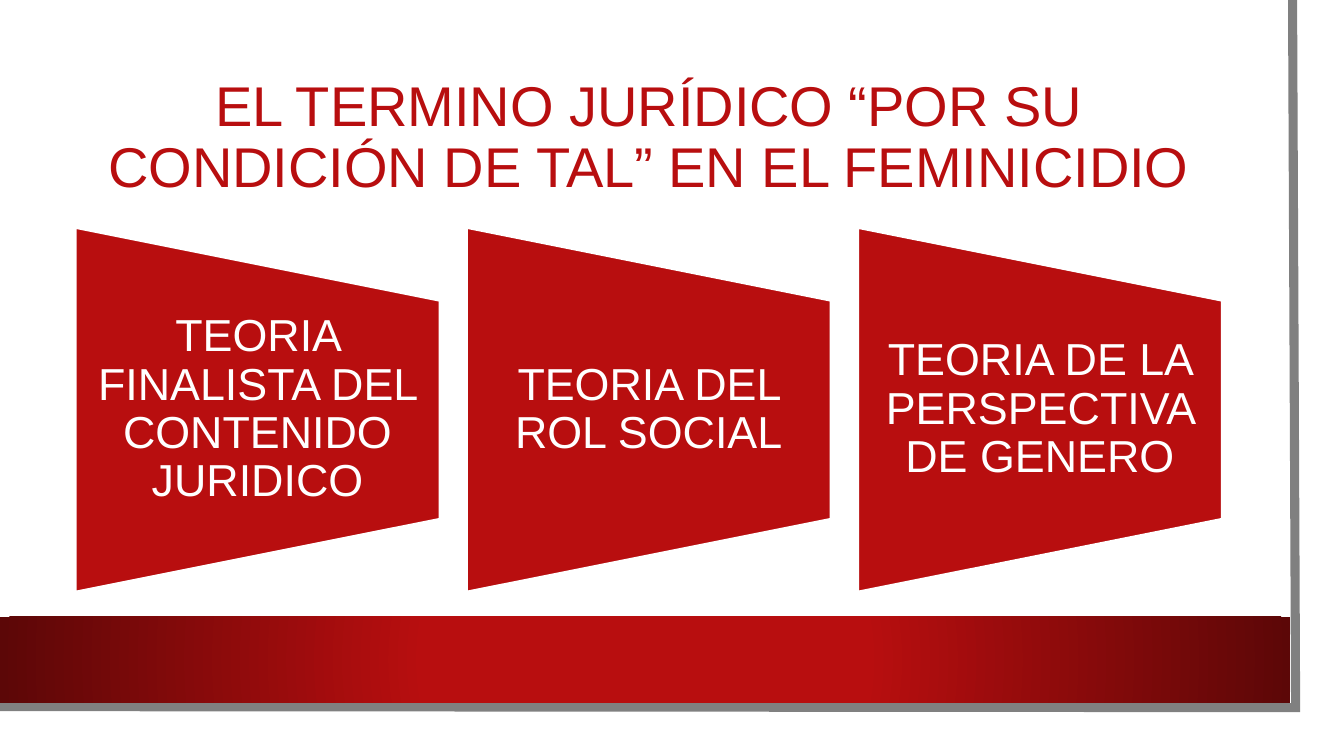
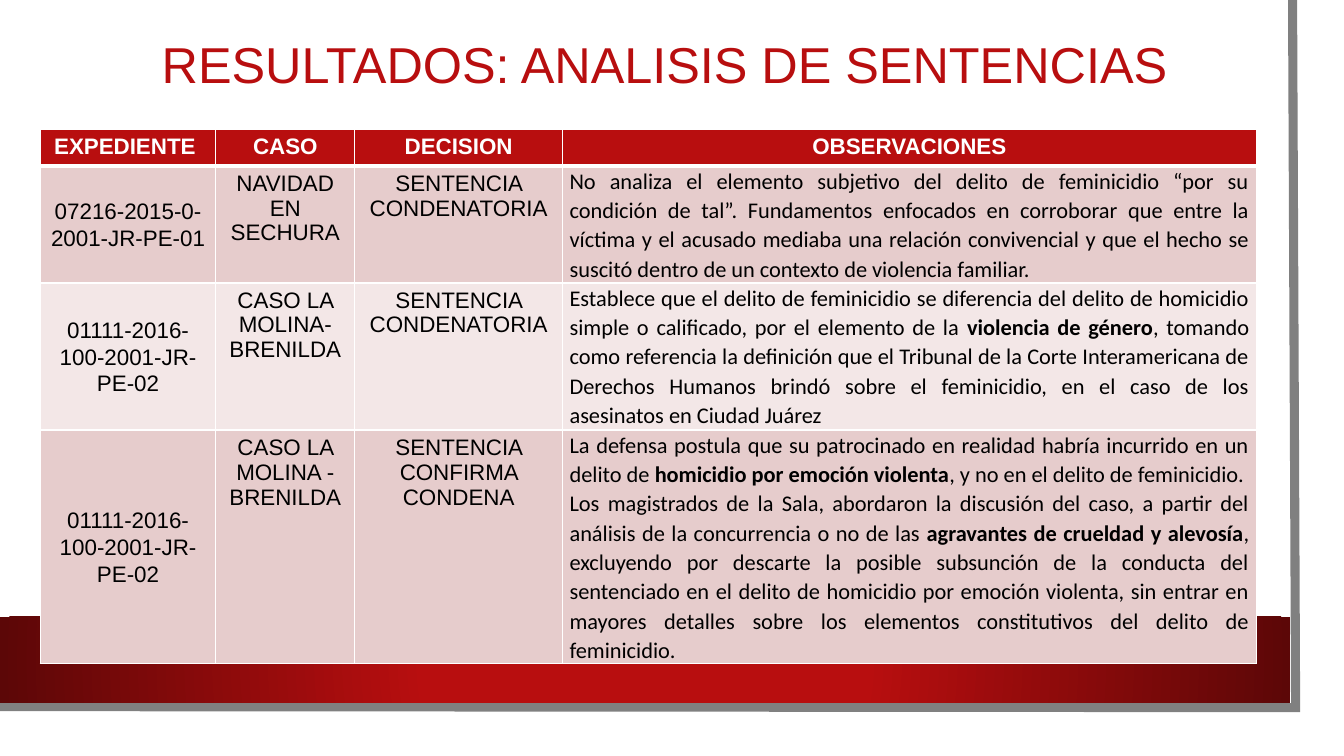
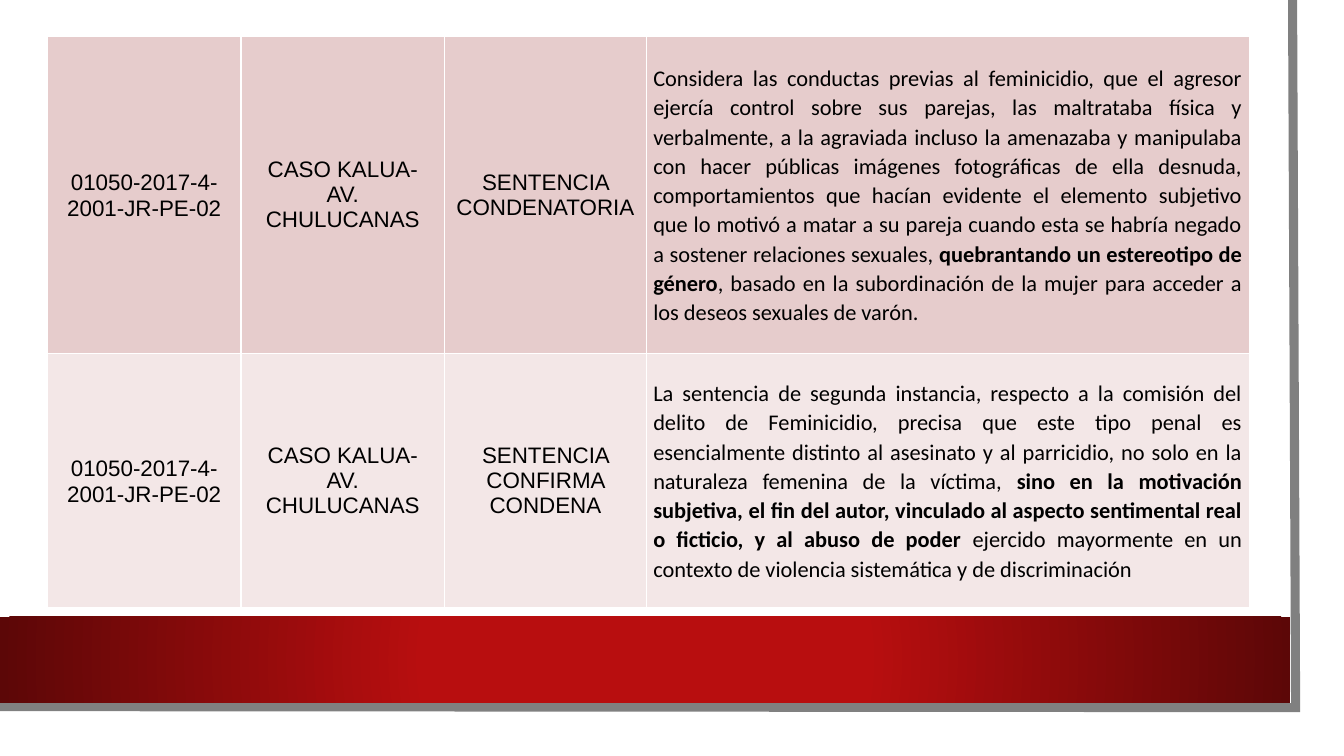
from dataclasses import dataclass

from lxml import etree
from pptx import Presentation
from pptx import util as u
from pptx.dml.color import RGBColor
from pptx.enum import shapes, text
from pptx.oxml import ns

PX = 9144


@dataclass(frozen=True)
class Theme:
    """Colours, fonts and type sizes of the presentation."""
    red: str = "B80E0F"
    dark_red: str = "5C0707"
    rose: str = "E6CCCC"
    pale_rose: str = "F3E7E7"
    grey: str = "808080"
    white: str = "FFFFFF"
    black: str = "000000"
    heading_font: str = "Arial"
    prose_font: str = "Calibri"
    title_size: int = 40
    results_title_size: int = 36
    theory_size: int = 32
    cell_size: int = 16


THEME = Theme()

THEORIES = [
    "TEORIA FINALISTA DEL CONTENIDO JURIDICO",
    "TEORIA DEL ROL SOCIAL",
    "TEORIA DE LA PERSPECTIVA DE GENERO",
]

HEADINGS = ["EXPEDIENTE ", "CASO", "DECISION", "OBSERVACIONES"]

FIRST_RULINGS = [
    ["07216-2015-0-2001-JR-PE-01", "NAVIDAD EN SECHURA", "SENTENCIA CONDENATORIA",
     "No analiza el elemento subjetivo del delito de feminicidio “por su condición de tal”. "
     "Fundamentos enfocados en corroborar que entre la víctima y el acusado mediaba una "
     "relación convivencial y que el hecho se suscitó dentro de un contexto de violencia "
     "familiar. "],
    ["01111-2016-100-2001-JR-PE-02", "CASO LA MOLINA- BRENILDA", "SENTENCIA CONDENATORIA",
     "Establece que el delito de feminicidio se diferencia del delito de homicidio simple o "
     "calificado, por el elemento de la |violencia de género|, tomando como referencia la "
     "definición que el Tribunal de la Corte Interamericana de Derechos Humanos brindó sobre "
     "el feminicidio, en el caso de los asesinatos en Ciudad Juárez"],
    ["01111-2016-100-2001-JR-PE-02", "CASO LA MOLINA - BRENILDA",
     "SENTENCIA CONFIRMA CONDENA",
     "La defensa postula que su patrocinado en realidad habría incurrido en un delito de "
     "|homicidio por emoción violenta|, y no en el delito de feminicidio.  Los magistrados "
     "de la Sala, abordaron la discusión del caso, a partir del análisis de la concurrencia "
     "o no de las |agravantes de crueldad y alevosía|, excluyendo por descarte la posible "
     "subsunción de la conducta del sentenciado en el delito de homicidio por emoción "
     "violenta, sin entrar en mayores detalles sobre los elementos constitutivos del delito "
     "de feminicidio."],
]

LAST_RULINGS = [
    ["01050-2017-4-2001-JR-PE-02", "CASO KALUA- AV. CHULUCANAS", "SENTENCIA CONDENATORIA",
     "Considera las conductas previas al feminicidio, que el agresor ejercía control sobre "
     "sus parejas, las maltrataba física y verbalmente, a la agraviada incluso la amenazaba "
     "y manipulaba con hacer públicas imágenes fotográficas de ella desnuda, comportamientos "
     "que hacían evidente el elemento subjetivo que lo motivó a matar a su pareja cuando "
     "esta se habría negado a sostener relaciones sexuales, |quebrantando un estereotipo de "
     "género|, basado en la subordinación de la mujer para acceder a los deseos sexuales de "
     "varón."],
    ["01050-2017-4-2001-JR-PE-02", "CASO KALUA- AV. CHULUCANAS",
     "SENTENCIA CONFIRMA CONDENA",
     "La sentencia de segunda instancia, respecto a la comisión del delito de Feminicidio, "
     "precisa que este tipo penal es esencialmente distinto al asesinato y al parricidio, no "
     "solo en la naturaleza femenina de la víctima, |sino en la motivación subjetiva, el fin "
     "del autor, vinculado al aspecto sentimental real o ficticio, y al abuso de poder| "
     "ejercido mayormente en un contexto de violencia sistemática y de discriminación"],
]


def px(*lengths):
    """Turn px lengths into EMU."""
    return [u.Emu(length * PX) for length in lengths]


def rgb(colour):
    """Turn a hex string into a colour."""
    return RGBColor.from_string(colour)


def style(font, size, colour, name=THEME.heading_font, bold=False):
    """Set the face, size, colour and weight of a font."""
    font.name, font.size, font.bold = name, u.Pt(size), bold
    font.color.rgb = rgb(colour)


def add_block(slide, box, shape_type, colour):
    """Add a flat preset shape without outline."""
    block = slide.shapes.add_shape(shape_type, *px(*box))
    block.shadow.inherit = False
    block.fill.solid()
    block.fill.fore_color.rgb = rgb(colour)
    block.line.fill.background()
    return block


def add_label(slide, box, words, size, colour, side, edge):
    """Add a centred text box with the given side and edge insets."""
    frame = slide.shapes.add_textbox(*px(*box)).text_frame
    frame.word_wrap = True
    frame.vertical_anchor = text.MSO_ANCHOR.MIDDLE
    frame.margin_left = frame.margin_right = px(side)[0]
    frame.margin_top = frame.margin_bottom = px(edge)[0]
    frame.text = words
    line = frame.paragraphs[0]
    line.alignment = text.PP_ALIGN.CENTER
    line.line_spacing = 0.9
    style(line.runs[0].font, size, colour)


def add_title(slide, box, words, size):
    """Add a slide title."""
    add_label(slide, box, words, size, THEME.red, 10, 5)


def add_band(slide, box):
    """Add the red band that darkens towards its ends."""
    band = add_block(slide, box, shapes.MSO_SHAPE.RECTANGLE, THEME.red)
    gradient = etree.fromstring(
        f'<a:gradFill {ns.nsdecls("a")} rotWithShape="1"><a:gsLst>'
        f'<a:gs pos="34000"><a:srgbClr val="{THEME.red}"/></a:gs>'
        f'<a:gs pos="100000"><a:srgbClr val="{THEME.dark_red}"/></a:gs></a:gsLst>'
        '<a:path path="circle"><a:fillToRect l="50000" t="50000" r="50000" b="50000"/>'
        '</a:path></a:gradFill>')
    properties = band.fill._xPr
    properties.replace(properties.find(ns.qn("a:solidFill")), gradient)


def add_page_edge(slide, box):
    """Add the grey edge along the right and bottom of the page."""
    left, top, width, height = box
    builder = slide.shapes.build_freeform(left + width - 3, top, scale=PX)
    builder.add_line_segments(
        [(left + width, top + height), (left, top + height - 1)], close=False)
    edge = builder.convert_to_shape()
    edge.shadow.inherit = False
    edge.fill.background()
    edge.line.color.rgb = rgb(THEME.grey)
    edge.line.width = u.Pt(6.5)
    etree.SubElement(edge.line._ln, ns.qn("a:miter"), lim="800000")


def new_slide(deck):
    """Add a blank slide with the shared page, edge and band."""
    slide = deck.slides.add_slide(deck.slide_layouts[6])
    add_block(slide, (0, 0, 1310, 727), shapes.MSO_SHAPE.RECTANGLE, THEME.white)
    add_page_edge(slide, (-3, 0, 1288, 702))
    add_band(slide, (0, 612, 1280, 85))
    return slide


def add_theories(slide, box, gap):
    """Add a row of equal tapered panels, one for each theory."""
    left, top, width, height = box
    side = (width - gap * (len(THEORIES) - 1)) // len(THEORIES)
    taper = height // 5
    for index, theory in enumerate(THEORIES):
        x = left + index * (side + gap)
        panel = add_block(slide, (x, top, side, height),
                          shapes.MSO_SHAPE.FLOWCHART_MANUAL_OPERATION, THEME.red)
        panel.rotation = 270
        panel.line.color.rgb = rgb(THEME.white)
        panel.line.width = u.Pt(1.5)
        add_label(slide, (x, top + taper, side, height - 2 * taper), theory,
                  THEME.theory_size, THEME.white, 22, 0)


def add_borders(cell, widths):
    """Draw white borders, given as tag and width in points."""
    properties = cell._tc.get_or_add_tcPr()
    for position, (tag, width) in enumerate(widths.items()):
        border = etree.fromstring(
            f'<a:{tag} {ns.nsdecls("a")} w="{u.Pt(width)}"><a:solidFill>'
            f'<a:srgbClr val="{THEME.white}"/></a:solidFill></a:{tag}>')
        properties.insert(position, border)


def fill_cell(cell, words, fill, colour, is_header, column, anchor):
    """Write one cell, with the parts between bars in bold."""
    is_prose = column == 3 and not is_header
    is_file = column == 0 and not is_header
    cell.fill.solid()
    cell.fill.fore_color.rgb = rgb(fill)
    cell.vertical_anchor = text.MSO_ANCHOR.MIDDLE if is_file else anchor
    line = cell.text_frame.paragraphs[0]
    line.alignment = text.PP_ALIGN.JUSTIFY if is_prose else text.PP_ALIGN.CENTER
    if is_prose or is_file:
        cell.margin_left = cell.margin_right = px(7)[0]
        cell.margin_top = cell.margin_bottom = 0
        line.line_spacing = 1.07
        line.space_after = u.Pt(8)
    face = THEME.prose_font if is_prose else THEME.heading_font
    for part, piece in enumerate(words.split("|")):
        run = line.add_run()
        run.text = piece
        style(run.font, THEME.cell_size, colour, face, is_header or part % 2 == 1)


def add_rulings(slide, origin, widths, heights, rulings, anchor, headings=None):
    """Add a table of rulings with alternating row fills."""
    rows = ([headings] if headings else []) + rulings
    table = slide.shapes.add_table(
        len(rows), len(widths), *px(*origin, sum(widths), sum(heights))).table
    table.first_row = bool(headings)
    table.horz_banding = False
    for column, width in zip(table.columns, px(*widths)):
        column.width = width
    for row, height in zip(table.rows, px(*heights)):
        row.height = height
    fills = [THEME.rose, THEME.pale_rose]
    for r, row in enumerate(rows):
        is_header = row is headings
        band = (r - bool(headings)) % 2
        fill = THEME.red if is_header else fills[band]
        colour = THEME.white if is_header else THEME.black
        borders = {"lnL": 1, "lnR": 1}
        if r == 0:
            borders["lnT"] = 1
        borders["lnB"] = 3 if is_header else 1
        for c, words in enumerate(row):
            cell = table.cell(r, c)
            fill_cell(cell, words, fill, colour, is_header, c, anchor)
            add_borders(cell, borders)


def build_theories_slide(deck):
    """Build the slide with the three theories."""
    slide = new_slide(deck)
    add_title(slide, (75, 75, 1137, 126),
              "EL TERMINO JURÍDICO “POR SU CONDICIÓN DE TAL” EN EL FEMINICIDIO",
              THEME.title_size)
    add_theories(slide, (75, 226, 1137, 361), 27)


def build_results_slide(deck):
    """Build the titled slide with the first rulings."""
    slide = new_slide(deck)
    add_title(slide, (63, 17, 1207, 100), "RESULTADOS: ANALISIS DE SENTENCIAS ",
              THEME.results_title_size)
    add_rulings(slide, (40, 128), (174, 138, 206, 688), (34, 116, 146, 232),
                FIRST_RULINGS, text.MSO_ANCHOR.TOP, HEADINGS)


def build_more_results_slide(deck):
    """Build the slide with the last rulings."""
    add_rulings(new_slide(deck), (47, 36), (192, 202, 200, 598), (315, 252),
                LAST_RULINGS, text.MSO_ANCHOR.MIDDLE)


def main():
    """Build and save the presentation."""
    deck = Presentation()
    deck.slide_width, deck.slide_height = px(1333, 750)
    build_theories_slide(deck)
    build_results_slide(deck)
    build_more_results_slide(deck)
    deck.save("out.pptx")


if __name__ == "__main__":
    main()
